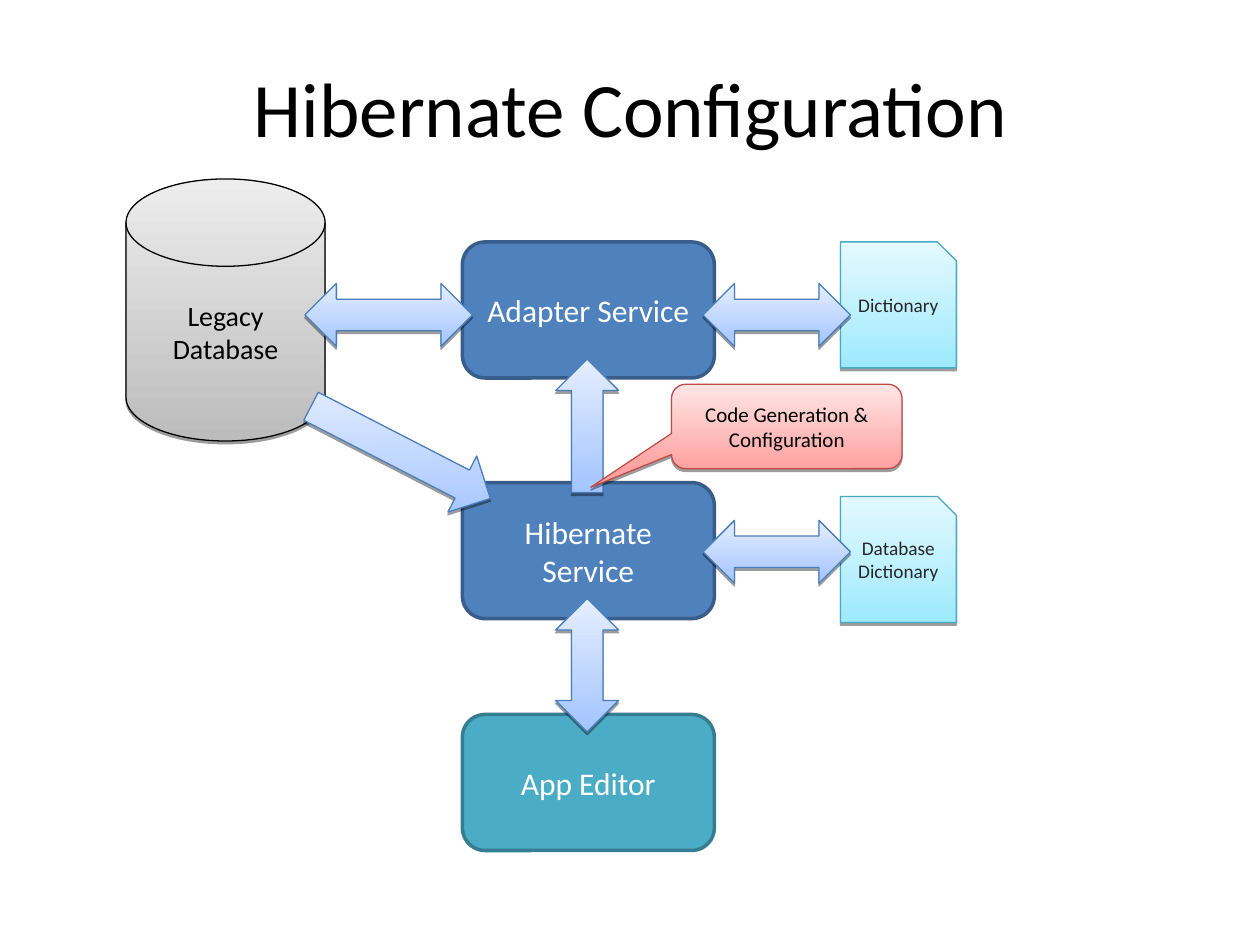
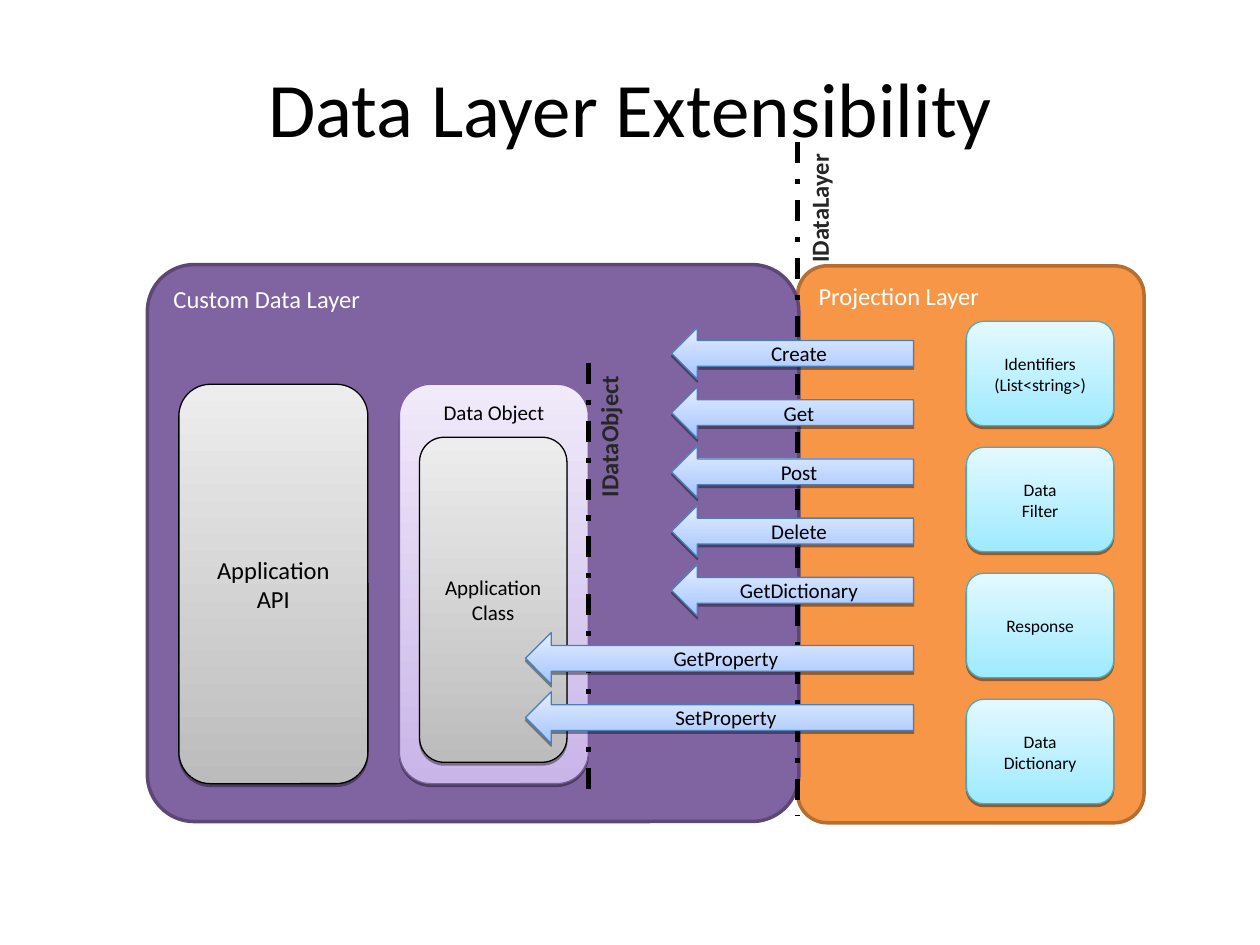
from typing import NamedTuple

from lxml.etree import SubElement
from pptx import Presentation
from pptx.dml.color import RGBColor
from pptx.enum.dml import MSO_LINE
from pptx.enum.shapes import MSO_CONNECTOR, MSO_SHAPE as Preset
from pptx.enum.text import MSO_ANCHOR as Anchor, MSO_AUTO_SIZE as AutoSize, PP_ALIGN as Align
from pptx.oxml.ns import qn
from pptx.util import Inches, Pt

FONT = "Calibri"
COLORS = {"black": "000000", "white": "FFFFFF", "charcoal": "262626"}
# Each style: fill (one colour, or bottom and top of a gradient), line, line width
STYLES = {
    "service": (["4F81BD"], "385D8A", 2),
    "editor": (["4BACC6"], "357D91", 2),
    "custom": (["8064A2"], "5C4776", 2),
    "projection": (["F79646"], "B66D31", 2),
    "application": (["BCBCBC", "EDEDED"], "000000", 0.75),
    "arrow": (["A3C4FF", "E5EEFF"], "4A7EBB", 0.75),
    "data": (["9EEAFF", "E4F9FF"], "46AAC5", 0.75),
    "object": (["C9B5E8", "F0EAF9"], "7D60A0", 0.75),
    "callout": (["FFA2A1", "FFE5E5"], "BE4B48", 0.75),
}
TITLE_SIZE = 44
ARROW_WIDTH = 0.5
CORNER = 0.167


class Box(NamedTuple):
    left: float
    top: float
    width: float
    height: float

    def inner(self, left, top, width, height):
        """Box offset from this one's top left corner."""
        return Box(self.left + left, self.top + top, width, height)

    def lengths(self):
        return [Inches(value) for value in self]


def rgb(name):
    return RGBColor.from_string(COLORS.get(name, name))


def set_text(shape, text, size, color="black", align=Align.CENTER, anchor=Anchor.MIDDLE,
             bold=False, wrap=True, auto_size=AutoSize.NONE):
    frame = shape.text_frame
    frame_format = {
        "word_wrap": wrap, "auto_size": auto_size, "vertical_anchor": anchor,
        "margin_left": Inches(0.1), "margin_right": Inches(0.1),
        "margin_top": Inches(0.05), "margin_bottom": Inches(0.05),
    }
    for name, value in frame_format.items():
        setattr(frame, name, value)
    paragraph = frame.paragraphs[0]
    paragraph.text = text
    paragraph.alignment = align
    for run in paragraph.runs:
        for name, value in {"name": FONT, "size": Pt(size), "bold": bold}.items():
            setattr(run.font, name, value)
        run.font.color.rgb = rgb(color)


def add_drop_shadow(shape):
    effects = shape._element.spPr.find(qn("a:effectLst"))
    shadow = SubElement(effects, qn("a:outerShdw"), dist="20000", dir="5400000", rotWithShape="0")
    color = SubElement(shadow, qn("a:srgbClr"), val=COLORS["black"])
    SubElement(color, qn("a:alpha"), val="38000")


def paint(shape, style, gradient_angle=90):
    fill_colors, line_color, line_width = STYLES[style]
    shape.shadow.inherit = False
    if len(fill_colors) == 1:
        shape.fill.solid()
        shape.fill.fore_color.rgb = rgb(fill_colors[0])
    else:
        shape.fill.gradient()
        shape.fill.gradient_angle = gradient_angle
        for stop, color in zip(shape.fill.gradient_stops, fill_colors):
            stop.color.rgb = rgb(color)
        add_drop_shadow(shape)
    shape.line.color.rgb = rgb(line_color)
    shape.line.width = Pt(line_width)


def add_block(slide, preset, box, style, text=None, size=12, adjustments=(),
              rotation=0, gradient_angle=90, **text_format):
    shape = slide.shapes.add_shape(preset, *box.lengths())
    for index, value in enumerate(adjustments):
        shape.adjustments[index] = value
    shape.rotation = rotation
    paint(shape, style, gradient_angle)
    if text:
        set_text(shape, text, size, **text_format)
    return shape


def add_rounded(slide, box, style, text, size, corner=CORNER, **text_format):
    return add_block(slide, Preset.ROUNDED_RECTANGLE, box, style, text, size,
                     adjustments=[corner], **text_format)


def add_page(slide, box, text, fold=0.15):
    """Sheet with its top right corner cut off."""
    left, top, width, height = box
    right, bottom = left + width, top + height
    outline = [(right - fold, top), (right, top + fold), (right, bottom), (left, bottom)]
    builder = slide.shapes.build_freeform(Inches(left), Inches(top))
    builder.add_line_segments([(Inches(x), Inches(y)) for x, y in outline], close=True)
    page = builder.convert_to_shape()
    paint(page, "data")
    set_text(page, text, 11, color="charcoal")


def add_interface(slide, x, top, bottom, label, label_box):
    """Dash-dot boundary line with its name written upwards beside it."""
    label_shape = slide.shapes.add_textbox(*label_box.lengths())
    label_shape.rotation = 270
    set_text(label_shape, label, 14, color="charcoal", align=Align.LEFT, anchor=Anchor.TOP,
             bold=True, wrap=False, auto_size=AutoSize.SHAPE_TO_FIT_TEXT)
    boundary = slide.shapes.add_connector(
        MSO_CONNECTOR.STRAIGHT, Inches(x), Inches(top), Inches(x), Inches(bottom))
    boundary.line.color.rgb = rgb("black")
    boundary.line.width = Pt(3)
    boundary.line.dash_style = MSO_LINE.DASH_DOT
    SubElement(boundary._element.spPr, qn("a:effectLst"))


def add_titled_slide(presentation, title):
    slide = presentation.slides.add_slide(presentation.slide_layouts[5])
    shape = slide.shapes.title
    for name, value in zip(("left", "top", "width", "height"), Box(0.17, 0.43, 9.67, 0.84).lengths()):
        setattr(shape, name, value)
    set_text(shape, title, TITLE_SIZE, anchor=Anchor.TOP)
    return slide


def add_services(slide, box):
    services = [("Adapter Service", 0, "service"), ("Hibernate Service", 1.91, "service"),
                ("App Editor", 3.75, "editor")]
    for text, top, style in services:
        add_rounded(slide, box.inner(0, top, box.width, 1.08), style, text, 18, color="white")
    vertical = {"rotation": 90, "gradient_angle": 180}
    for preset, top in [(Preset.LEFT_ARROW, 1.21), (Preset.LEFT_RIGHT_ARROW, 3.11)]:
        add_block(slide, preset, box.inner(0.46, top, 1.06, ARROW_WIDTH), "arrow", **vertical)


def add_legacy_database(slide, box):
    add_block(slide, Preset.FLOWCHART_MAGNETIC_DISK, box, "application", "Legacy Database", 16)
    add_block(slide, Preset.LEFT_RIGHT_ARROW, box.inner(1.42, 0.83, 1.33, ARROW_WIDTH), "arrow")
    add_block(slide, Preset.LEFT_ARROW, box.inner(1.38, 1.92, 1.6, ARROW_WIDTH), "arrow",
              rotation=207.2, gradient_angle=297)


def add_dictionaries(slide, box):
    for text, page_top, arrow_top in [("Dictionary", 0, 0.33), ("Database Dictionary", 2.02, 2.21)]:
        add_page(slide, box.inner(0, page_top, box.width, 1), text)
        add_block(slide, Preset.LEFT_RIGHT_ARROW,
                  box.inner(-1.09, arrow_top, 1.17, ARROW_WIDTH), "arrow")


def build_hibernate_slide(presentation):
    slide = add_titled_slide(presentation, "Hibernate Configuration")
    add_services(slide, Box(3.67, 1.92, 2, 4.83))
    add_legacy_database(slide, Box(1, 1.42, 1.58, 2.08))
    add_dictionaries(slide, Box(6.67, 1.92, 0.92, 3.02))
    add_block(slide, Preset.ROUNDED_RECTANGULAR_CALLOUT, Box(5.33, 3.05, 1.83, 0.67), "callout",
              "Code Generation & Configuration", adjustments=[-0.85, 0.72, CORNER])


def add_projection_layer(slide, box):
    add_rounded(slide, box, "projection", "Projection Layer", 14, corner=0.085,
                color="white", align=Align.LEFT, anchor=Anchor.TOP)
    parts = ["Identifiers (List<string>)", "Data\nFilter", "Response", "Data\nDictionary"]
    for row, text in enumerate(parts):
        add_rounded(slide, box.inner(1.34, 0.44 + row, 1.17, 0.83), "data", text, 10)


def add_custom_layer(slide, box):
    add_rounded(slide, box, "custom", "Custom Data Layer", 14, corner=0.084,
                color="white", align=Align.LEFT, anchor=Anchor.TOP)
    add_rounded(slide, box.inner(0.25, 0.95, 1.5, 3.17), "application", "Application\nAPI", 14)
    data_object = box.inner(2, 0.95, 1.5, 3.17)
    add_rounded(slide, data_object, "object", "Data Object", 12, anchor=Anchor.TOP)
    add_rounded(slide, data_object.inner(0.16, 0.42, 1.17, 2.58), "application",
                "Application\nClass", 12)


def add_calls(slide, box, names):
    """Left arrows, one call each, stacked at an even pitch."""
    for row, name in enumerate(names):
        add_block(slide, Preset.LEFT_ARROW, box.inner(0, 0.47 * row, box.width, box.height),
                  "arrow", name)


def build_extensibility_slide(presentation):
    slide = add_titled_slide(presentation, "Data Layer Extensibility")
    add_projection_layer(slide, Box(6.33, 2.11, 2.75, 4.42))
    add_custom_layer(slide, Box(1.17, 2.1, 5.17, 4.42))
    add_interface(slide, 4.67, 2.88, 6.38, "IDataObject", Box(4.25, 3.29, 1.17, 0.34))
    add_interface(slide, 6.33, 1.13, 6.48, "IDataLayer", Box(5.97, 1.48, 1.07, 0.34))
    add_calls(slide, Box(5.33, 2.6, 1.92, 0.41), ["Create", "Get", "Post", "Delete", "GetDictionary"])
    add_calls(slide, Box(4.17, 5.02, 3.08, 0.41), ["GetProperty", "SetProperty"])


def main():
    presentation = Presentation()
    presentation.slide_width = Inches(10)
    presentation.slide_height = Inches(7.5)
    build_hibernate_slide(presentation)
    build_extensibility_slide(presentation)
    presentation.save("out.pptx")


if __name__ == "__main__":
    main()
